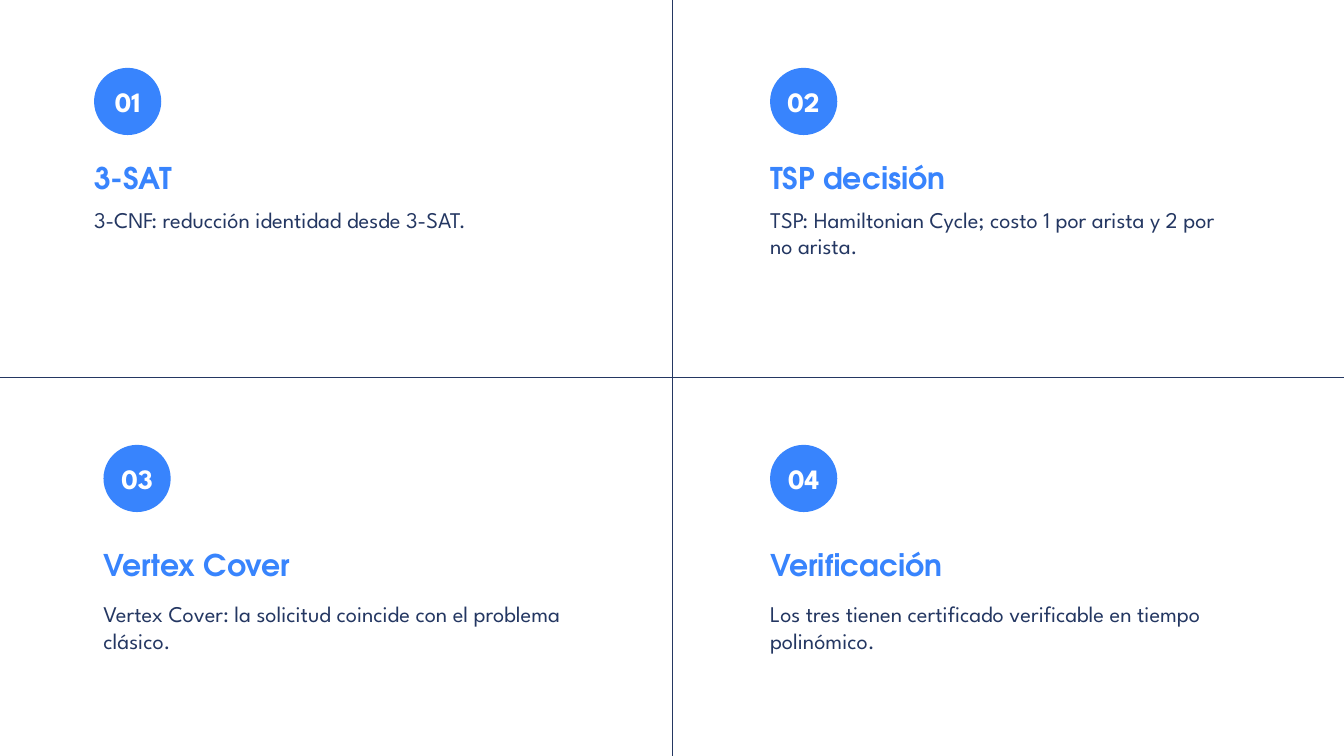
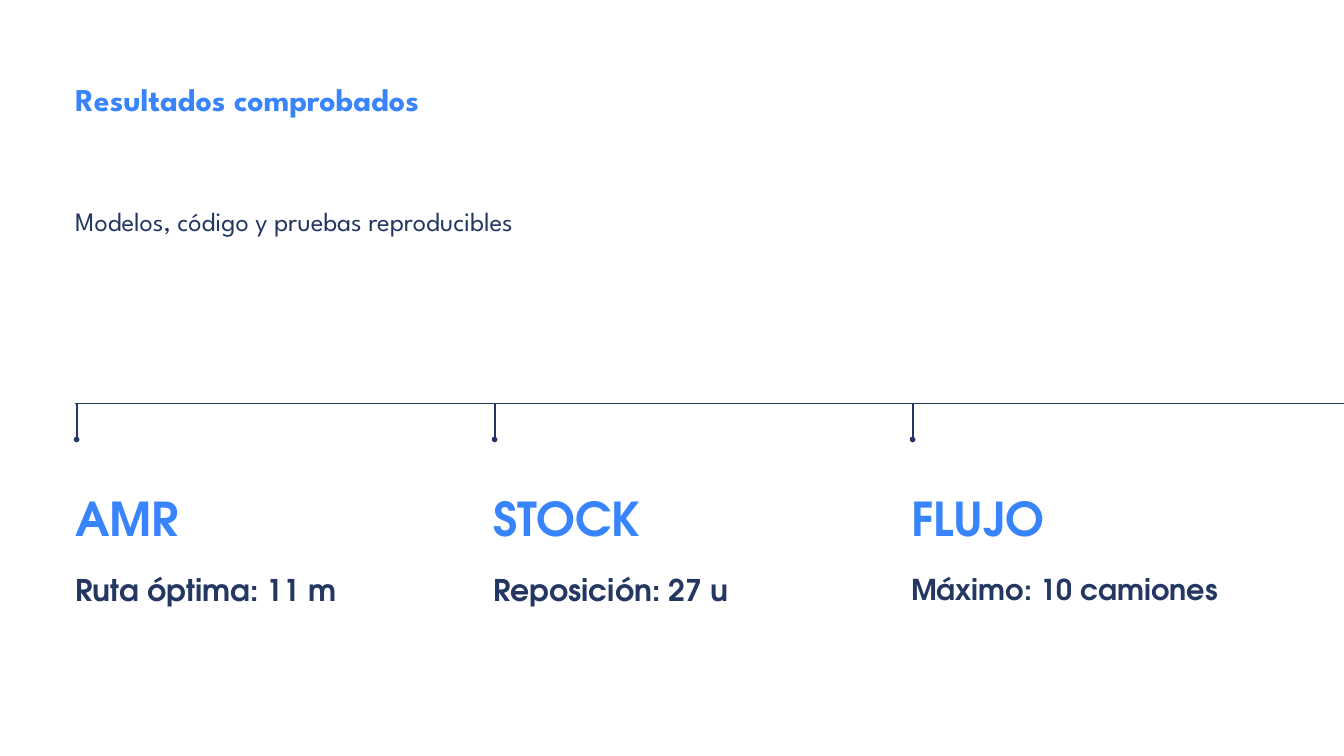
from lxml import etree
from pptx import Presentation
from pptx import util as u
from pptx.dml.color import RGBColor
from pptx.enum import shapes, text
from pptx.oxml.ns import qn

COLORS = {"blue": "3884FD", "navy": "243762", "white": "FFFFFF"}
BODY_FONT, HEAD_FONT = "League Spartan", "TeX Gyre Adventor"
SLIDE_W, SLIDE_H = 20, 11.25
TITLE_ONLY, BLANK = 5, 6


def rgb(name):
    return RGBColor.from_string(COLORS[name])


def fill_text(sp, words, size, font, color, bold=False,
              align=text.PP_ALIGN.LEFT, anchor=text.MSO_ANCHOR.TOP):
    """Write one paragraph into a shape, without insets."""
    tf = sp.text_frame
    tf.word_wrap = True
    tf.auto_size = text.MSO_AUTO_SIZE.NONE
    tf.vertical_anchor = anchor
    tf.margin_left = tf.margin_right = tf.margin_top = tf.margin_bottom = 0
    p = tf.paragraphs[0]
    p.text = words
    p.alignment = align
    p.font.size, p.font.name, p.font.bold = u.Pt(size), font, bold
    p.font.color.rgb = rgb(color)


def add_text(s, box, words, size, font, color, bold=False):
    sp = s.shapes.add_textbox(*map(u.Inches, box))
    fill_text(sp, words, size, font, color, bold)


def add_line(s, x1, y1, x2, y2, width=0.75, dot=False):
    """Draw a navy line, with a round end at (x2, y2) if dot is set."""
    line = s.shapes.add_connector(shapes.MSO_CONNECTOR.STRAIGHT,
                                  *map(u.Inches, (x1, y1, x2, y2)))
    line.line.color.rgb = rgb("navy")
    line.line.width = u.Pt(width)
    sp_pr = line._element.spPr
    if dot:
        etree.SubElement(sp_pr.find(qn("a:ln")), qn("a:tailEnd"), type="oval")
    etree.SubElement(sp_pr, qn("a:effectLst"))


def add_badge(s, x, y, number):
    sp = s.shapes.add_shape(shapes.MSO_SHAPE.OVAL,
                            *map(u.Inches, (x, y, 1, 1)))
    sp.shadow.inherit = False
    sp.fill.solid()
    sp.fill.fore_color.rgb = rgb("blue")
    sp.line.fill.background()
    fill_text(sp, f"{number:02d}", 30, BODY_FONT, "white", True,
              text.PP_ALIGN.CENTER, text.MSO_ANCHOR.MIDDLE)


def add_problem(s, box, number, heading, body, heading_y, body_y):
    """Badge, heading and body; both offsets count from the top of the box."""
    x, y, w, h = box
    add_badge(s, x, y, number)
    add_text(s, (x, y + heading_y, w, 0.53), heading, 32, HEAD_FONT, "blue", True)
    add_text(s, (x, y + body_y, w, h - body_y), body, 24, BODY_FONT, "navy")


def problems_slide(prs):
    s = prs.slides.add_slide(prs.slide_layouts[BLANK])
    add_line(s, 0, 5.61, SLIDE_W, 5.61)
    add_line(s, SLIDE_W / 2, SLIDE_H, SLIDE_W / 2, 0)
    rows = [
        (1.01, 3.5, 1.37, 2.05, [
            (1.4, "3-SAT", "3-CNF: reducción identidad desde 3-SAT."),
            (11.46, "TSP decisión",
             "TSP: Hamiltonian Cycle; costo 1 por arista y 2 por no arista.")]),
        (6.62, 3.26, 1.52, 2.31, [
            (1.54, "Vertex Cover",
             "Vertex Cover: la solicitud coincide con el problema clásico."),
            (11.46, "Verificación",
             "Los tres tienen certificado verificable en tiempo polinómico.")]),
    ]
    for row, (y, h, heading_y, body_y, problems) in enumerate(rows):
        for col, (x, heading, body) in enumerate(problems):
            add_problem(s, (x, y, 7, h), 2 * row + col + 1,
                        heading, body, heading_y, body_y)


def add_result(s, box, name, finding, size):
    """Marker hanging from the timeline, with a result below it."""
    x, y, w, h = box
    add_line(s, x + 0.02, y, x + 0.02, y + 0.54, 2, dot=True)
    add_text(s, (x, y + 1.29, w, 0.91), name, 50, HEAD_FONT, "blue", True)
    add_text(s, (x, y + 2.51, w, h - 2.51), finding, size, HEAD_FONT, "navy", True)


def results_slide(prs):
    s = prs.slides.add_slide(prs.slide_layouts[TITLE_ONLY])
    left, timeline_y, step = 1.12, 6, 6.22
    title = s.shapes.title
    title.left, title.top, title.width, title.height = map(
        u.Inches, (left, 1.19, 12.44, 1.35))
    fill_text(title, "Resultados comprobados", 34, BODY_FONT, "blue", True)
    add_text(s, (left, 3.05, 12.44, 0.51),
             "Modelos, código y pruebas reproducibles", 28.5, BODY_FONT, "navy")
    add_line(s, left, timeline_y, SLIDE_W, timeline_y)
    results = [("AMR", "Ruta óptima: 11 m", 32),
               ("STOCK", "Reposición: 27 u", 32),
               ("FLUJO", "Máximo: 10 camiones", 30.7)]
    for i, result in enumerate(results):
        add_result(s, (left + i * step, timeline_y, 4.64, 3.04), *result)


def main():
    prs = Presentation()
    prs.slide_width, prs.slide_height = u.Inches(SLIDE_W), u.Inches(SLIDE_H)
    problems_slide(prs)
    results_slide(prs)
    prs.save("out.pptx")


if __name__ == "__main__":
    main()
